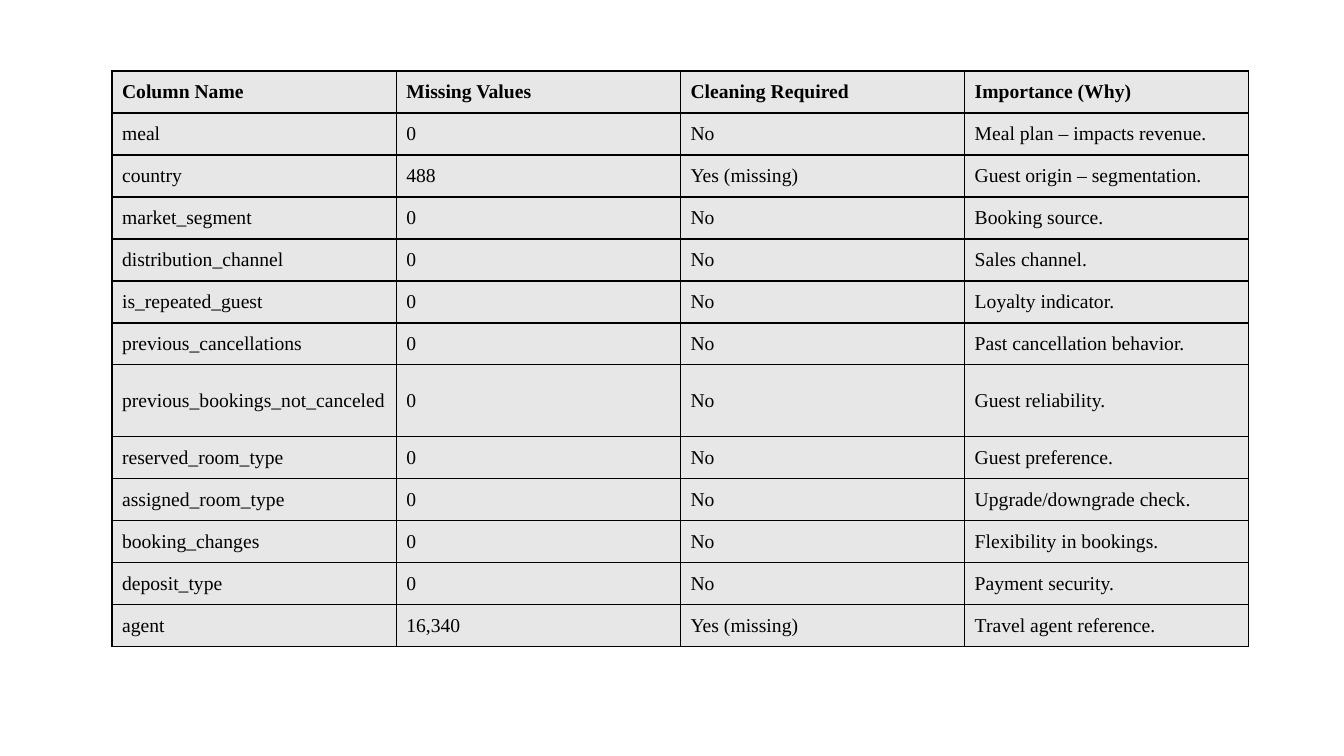
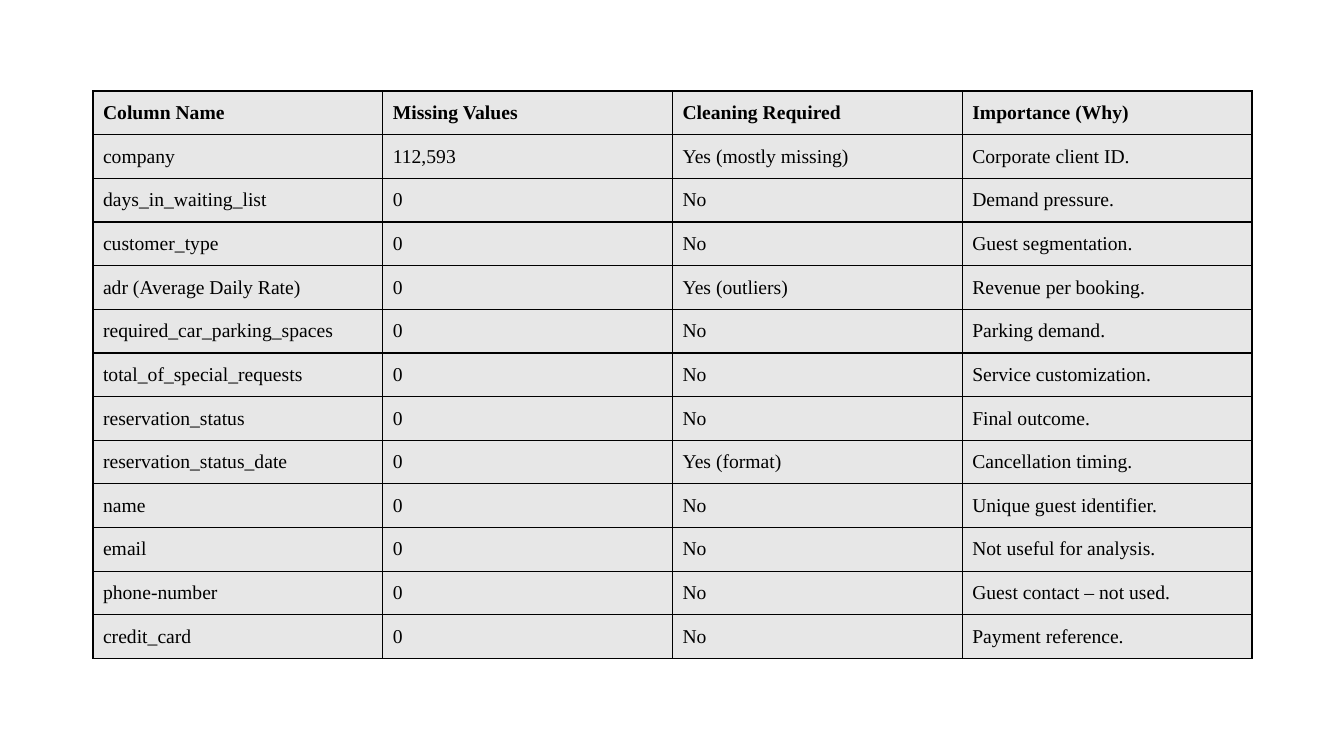
import lxml.etree
import pptx
import pptx.dml.color
import pptx.enum.text
import pptx.oxml.ns
import pptx.util

EMU_PER_PX = 914400 / 100.8
SLIDE_WIDTH, SLIDE_HEIGHT = 1344, 756
FONT_NAME, FONT_SIZE = "Times New Roman", 14
INK, CELL_FILL = "000000", "E7E7E7"
HEADER = ("Column Name", "Missing Values", "Cleaning Required", "Importance (Why)")

BOOKING_COLUMNS = [
    ("meal", "0", "No", "Meal plan – impacts revenue."),
    ("country", "488", "Yes (missing)", "Guest origin – segmentation."),
    ("market_segment", "0", "No", "Booking source."),
    ("distribution_channel", "0", "No", "Sales channel."),
    ("is_repeated_guest", "0", "No", "Loyalty indicator."),
    ("previous_cancellations", "0", "No", "Past cancellation behavior."),
    ("previous_bookings_not_canceled", "0", "No", "Guest reliability."),
    ("reserved_room_type", "0", "No", "Guest preference."),
    ("assigned_room_type", "0", "No", "Upgrade/downgrade check."),
    ("booking_changes", "0", "No", "Flexibility in bookings."),
    ("deposit_type", "0", "No", "Payment security."),
    ("agent", "16,340", "Yes (missing)", "Travel agent reference."),
]

GUEST_COLUMNS = [
    ("company", "112,593", "Yes (mostly missing)", "Corporate client ID."),
    ("days_in_waiting_list", "0", "No", "Demand pressure."),
    ("customer_type", "0", "No", "Guest segmentation."),
    ("adr (Average Daily Rate)", "0", "Yes (outliers)", "Revenue per booking."),
    ("required_car_parking_spaces", "0", "No", "Parking demand."),
    ("total_of_special_requests", "0", "No", "Service customization."),
    ("reservation_status", "0", "No", "Final outcome."),
    ("reservation_status_date", "0", "Yes (format)", "Cancellation timing."),
    ("name", "0", "No", "Unique guest identifier."),
    ("email", "0", "No", "Not useful for analysis."),
    ("phone-number", "0", "No", "Guest contact – not used."),
    ("credit_card", "0", "No", "Payment reference."),
]


def px(length):
    """Turn pixels into EMU."""
    return pptx.util.Emu(round(length * EMU_PER_PX))


def color(hex_string):
    """Turn a hex string into a colour."""
    return pptx.dml.color.RGBColor.from_string(hex_string)


def add_borders(cell):
    """Draw a one-point line on all four sides of a cell."""
    properties = cell._tc.get_or_add_tcPr()
    for side in ("a:lnL", "a:lnR", "a:lnT", "a:lnB"):
        line = lxml.etree.SubElement(properties, pptx.oxml.ns.qn(side), w=str(pptx.util.Pt(1)))
        fill = lxml.etree.SubElement(line, pptx.oxml.ns.qn("a:solidFill"))
        lxml.etree.SubElement(fill, pptx.oxml.ns.qn("a:srgbClr"), val=INK)


def fill_cell(cell, text, bold):
    """Write and style one table cell."""
    add_borders(cell)
    cell.fill.solid()
    cell.fill.fore_color.rgb = color(CELL_FILL)
    cell.vertical_anchor = pptx.enum.text.MSO_ANCHOR.MIDDLE
    cell.text = text
    font = cell.text_frame.paragraphs[0].font
    font.name = FONT_NAME
    font.size = pptx.util.Pt(FONT_SIZE)
    font.bold = bold
    font.color.rgb = color(INK)


def add_column_table(slide, box, records, tall_rows):
    """Fill a box with the column overview, giving tall rows their own height."""
    left, top, width, height = box
    rows = [HEADER, *records]
    frame = slide.shapes.add_table(len(rows), len(HEADER), *map(px, box))
    table = frame.table
    table.horz_banding = False
    regular_height = (height - sum(tall_rows.values())) / (len(rows) - len(tall_rows))
    for row_index, texts in enumerate(rows):
        table.rows[row_index].height = px(tall_rows.get(texts[0], regular_height))
        for column_index, text in enumerate(texts):
            fill_cell(table.cell(row_index, column_index), text, row_index == 0)


def add_table_slide(presentation, box, records, tall_rows):
    """Add a blank slide holding one column overview."""
    slide = presentation.slides.add_slide(presentation.slide_layouts[6])
    add_column_table(slide, box, records, tall_rows)


def main():
    """Build and save the presentation."""
    presentation = pptx.Presentation()
    presentation.slide_width = px(SLIDE_WIDTH)
    presentation.slide_height = px(SLIDE_HEIGHT)
    add_table_slide(presentation, (112, 71, 1137, 576), BOOKING_COLUMNS,
                    {"previous_bookings_not_canceled": 72})
    add_table_slide(presentation, (93, 91, 1159, 568), GUEST_COLUMNS, {})
    presentation.save("out.pptx")


if __name__ == "__main__":
    main()
